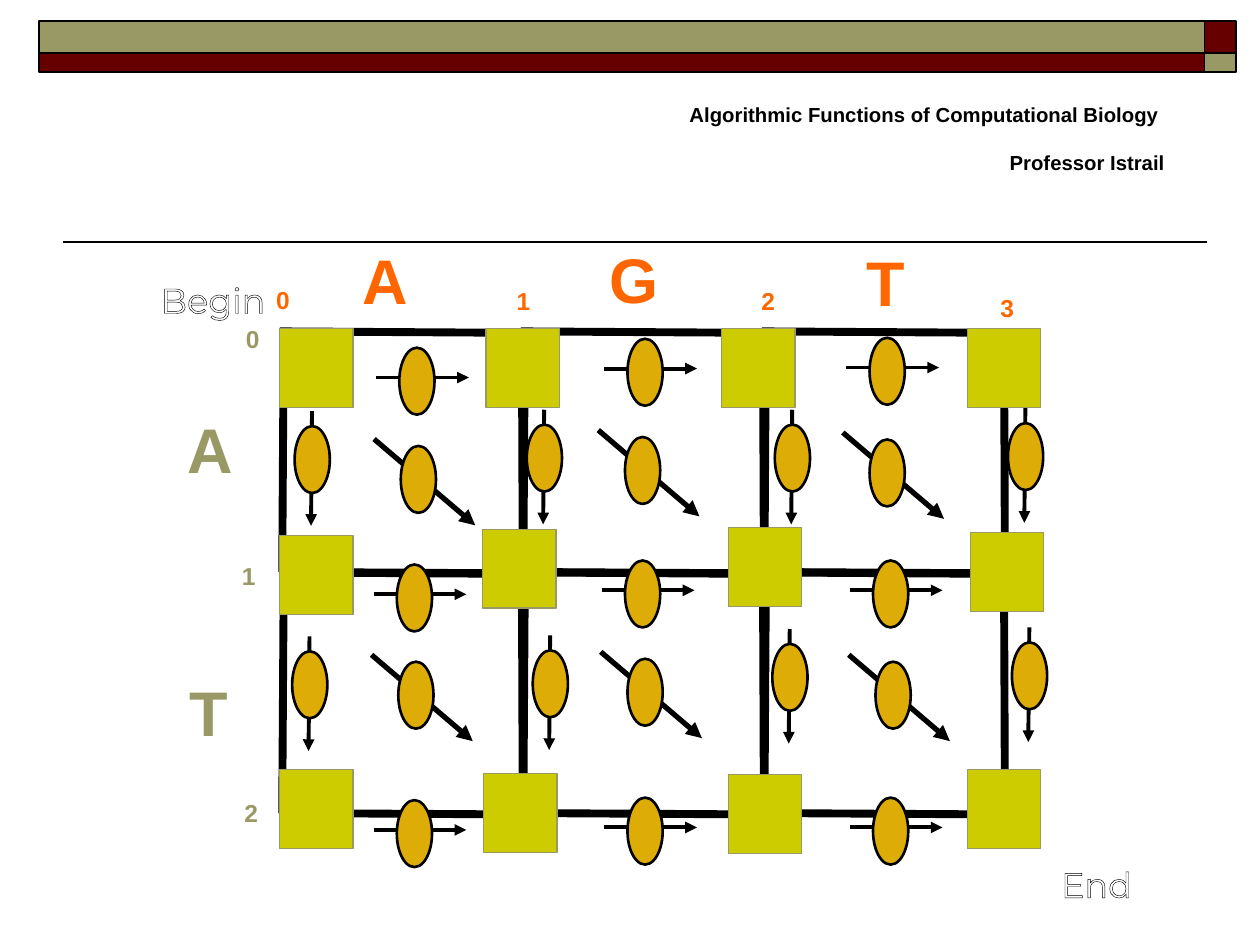
from lxml.etree import SubElement
from pptx import Presentation
from pptx.dml.color import RGBColor
from pptx.enum.shapes import MSO_CONNECTOR, MSO_SHAPE
from pptx.enum.text import MSO_ANCHOR, MSO_AUTO_SIZE, PP_ALIGN
from pptx.oxml import parse_xml
from pptx.oxml.ns import nsdecls, qn
from pptx.util import Cm, Pt

BLACK, WHITE = "000000", "FFFFFF"
OLIVE, MAROON, ORANGE = "999966", "660000", "FF6600"
NODE_FILL, WEIGHT_FILL = "CCCC00", "DEAC06"

BAND_COLUMNS = [(0.79, 23.5), (24.28, 0.64)]
BAND_ROWS = [(0.43, 0.64, [OLIVE, MAROON]), (1.07, 0.38, [MAROON, OLIVE])]

HEADING = ["Algorithmic Functions of Computational Biology ", "Professor Istrail"]

INDEX_SIZE = (0.79, 0.86)
INDEXES = [
    (ORANGE, [("0", 5.31, 5.61), ("1", 10.16, 5.64), ("2", 15.09, 5.64), ("3", 19.91, 5.77)]),
    (OLIVE, [("0", 4.7, 6.4), ("1", 4.62, 11.18), ("2", 4.67, 15.95)]),
]
LETTER_HEIGHT = 1.78
LETTERS = [
    (ORANGE, [("A", 7.06, 4.75, 1.42), ("G", 12.04, 4.72, 1.5), ("T", 17.22, 4.78, 1.27)]),
    (OLIVE, [("A", 3.53, 8.15, 1.42), ("T", 3.58, 13.44, 1.27)]),
]
ENDPOINT_HEIGHT = 1.02
ENDPOINTS = [("Begin", 2.99, 5.49, 2.8), ("End", 21.14, 17.27, 2.2)]

GRID_LEFT, GRID_TOP, CELL = 5.64, 6.68, 4.86
GRID_COLUMNS, GRID_ROWS = 3, 2
CELL_EDGES = [
    ((0, 0), (4.91, 0.03)),
    ((0.05, 4.85), (0.08, 0)),
    ((0.05, 4.85), (4.95, 4.88)),
    ((4.9, 4.95), (4.88, -0.05)),
]

NODE_SIZE = (1.48, 1.59)
NODES = [
    (5.64, 6.63), (9.8, 6.63), (14.55, 6.63), (19.5, 6.63),
    (5.64, 10.8), (9.73, 10.67), (14.68, 10.64), (19.56, 10.74),
    (5.64, 15.52), (9.75, 15.6), (14.68, 15.62), (19.5, 15.52),
]

WEIGHT_SIZE = (0.71, 1.35)
MOVES = [
    {"start": (-0.47, 0.6), "end": (1.4, 0.6), "width": 2.25, "weights": [
        (8.05, 7.01), (12.65, 6.83), (17.53, 6.81),
        (8, 11.38), (12.6, 11.3), (17.6, 11.3),
        (8, 16.13), (12.65, 16.08), (17.6, 16.08)]},
    {"start": (0.35, -0.3), "end": (0.33, 2.01), "width": 2.25, "weights": [
        (5.94, 8.59), (10.62, 8.56), (15.62, 8.56), (20.32, 8.53),
        (5.89, 13.13), (10.74, 13.11), (15.57, 12.98), (20.4, 12.95)]},
    {"start": (-0.54, -0.14), "end": (1.5, 1.6), "width": 3, "weights": [
        (8.08, 8.99), (12.6, 8.81), (17.53, 8.86),
        (8.03, 13.34), (12.65, 13.28), (17.65, 13.34)]},
]


def color(value):
    return RGBColor.from_string(value)


def add_block(slide, kind, left, top, size, fill, outline, width):
    block = slide.shapes.add_shape(kind, Cm(left), Cm(top), Cm(size[0]), Cm(size[1]))
    block.shadow.inherit = False
    block.fill.solid()
    block.fill.fore_color.rgb = color(fill)
    block.line.color.rgb = color(outline)
    block.line.width = Pt(width)


def add_line(slide, origin, start, end, width, arrow=False):
    x, y = origin
    line = slide.shapes.add_connector(
        MSO_CONNECTOR.STRAIGHT,
        Cm(x + start[0]), Cm(y + start[1]), Cm(x + end[0]), Cm(y + end[1]))
    line.line.color.rgb = color(BLACK)
    line.line.width = Pt(width)
    if arrow:
        SubElement(line.line._get_or_add_ln(), qn("a:tailEnd"), type="triangle")
    SubElement(line._element.spPr, qn("a:effectLst"))


def add_text(slide, lines, left, top, size, points, fill, font="Arial", bold=True,
             align=PP_ALIGN.CENTER, anchor=MSO_ANCHOR.MIDDLE, wrap=False):
    box = slide.shapes.add_textbox(Cm(left), Cm(top), Cm(size[0]), Cm(size[1]))
    frame = box.text_frame
    frame.word_wrap = wrap
    frame.auto_size = MSO_AUTO_SIZE.SHAPE_TO_FIT_TEXT
    frame.vertical_anchor = anchor
    runs = []
    for number, line in enumerate(lines):
        paragraph = frame.add_paragraph() if number else frame.paragraphs[0]
        paragraph.alignment = align
        run = paragraph.add_run()
        run.text = line
        run.font.name = font
        run.font.size = Pt(points)
        run.font.bold = bold
        run.font.color.rgb = color(fill)
        runs.append(run)
    return runs


def add_header(slide):
    add_line(slide, (0, 0), (24.33, 4.88), (1.27, 4.88), 1)
    for top, height, fills in BAND_ROWS:
        for (left, width), fill in zip(BAND_COLUMNS, fills):
            add_block(slide, MSO_SHAPE.RECTANGLE, left, top, (width, height), fill, BLACK, 1)
    for run in add_text(slide, HEADING, 9.96, 1.47, (13.77, 2.18), 20, BLACK,
                        align=PP_ALIGN.RIGHT, anchor=MSO_ANCHOR.TOP, wrap=True):
        run.font._element.set("baseline", "-25000")


def add_grid(slide):
    for column in range(GRID_COLUMNS):
        for row in range(GRID_ROWS):
            corner = (GRID_LEFT + column * CELL, GRID_TOP + row * CELL)
            for start, end in CELL_EDGES:
                add_line(slide, corner, start, end, 4.5)


def add_labels(slide):
    for fill, indexes in INDEXES:
        for index, left, top in indexes:
            add_text(slide, [index], left, top, INDEX_SIZE, 14, fill)
    for fill, letters in LETTERS:
        for letter, left, top, width in letters:
            add_text(slide, [letter], left, top, (width, LETTER_HEIGHT), 36, fill)
    for word, left, top, width in ENDPOINTS:
        for run in add_text(slide, [word], left, top, (width, ENDPOINT_HEIGHT), 20, WHITE,
                            "Montserrat", False, PP_ALIGN.LEFT, MSO_ANCHOR.TOP, True):
            run.font._element.insert(0, parse_xml(
                f'<a:ln {nsdecls("a")} w="9525"><a:solidFill>'
                f'<a:srgbClr val="{BLACK}"/></a:solidFill></a:ln>'))


def add_moves(slide):
    for move in MOVES:
        for left, top in move["weights"]:
            add_line(slide, (left, top), move["start"], move["end"], move["width"], arrow=True)
            add_block(slide, MSO_SHAPE.OVAL, left, top, WEIGHT_SIZE, WEIGHT_FILL, BLACK, 1.5)


def main():
    deck = Presentation()
    deck.slide_width, deck.slide_height = Cm(25.4), Cm(19.05)
    slide = deck.slides.add_slide(deck.slide_layouts[6])
    add_header(slide)
    add_grid(slide)
    add_labels(slide)
    for left, top in NODES:
        add_block(slide, MSO_SHAPE.RECTANGLE, left, top, NODE_SIZE, NODE_FILL, OLIVE, 0.75)
    add_moves(slide)
    deck.save("out.pptx")


if __name__ == "__main__":
    main()
